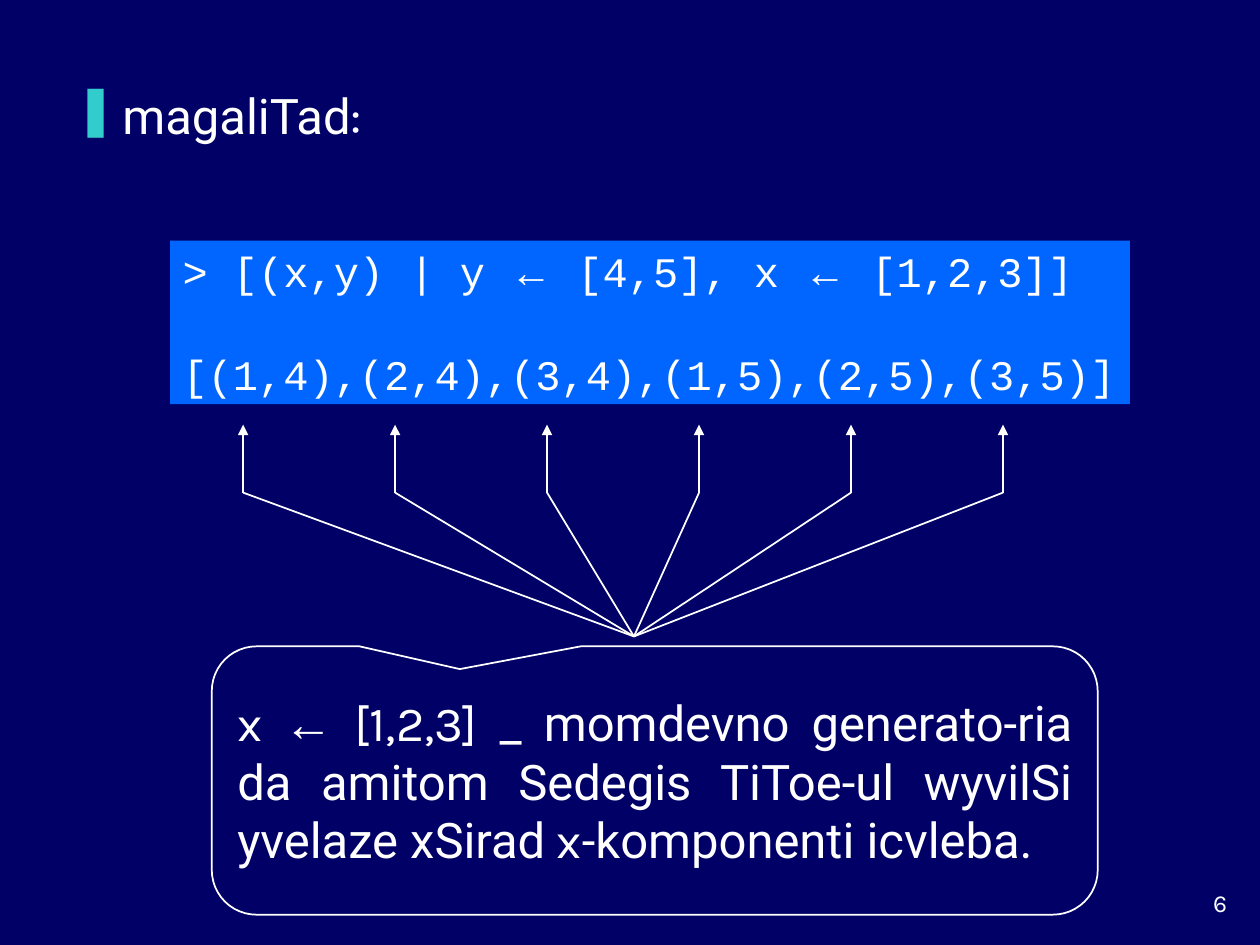
from pptx import Presentation
from pptx.dml.color import RGBColor
from pptx.enum.shapes import MSO_CONNECTOR, MSO_SHAPE
from pptx.enum.text import MSO_ANCHOR, PP_ALIGN
from pptx.oxml.ns import qn
from pptx.util import Cm, Pt
from lxml.etree import SubElement

HUES = {"back": "000066", "code": "0066FF", "mark": "33CCCC", "text": "FFFFFF"}
MONO, SANS, BODY = "Courier New", "Karla", "Roboto"
ARROW = ("←", "Arial")


def hue(name):
    return RGBColor.from_string(HUES[name])


def write(shape, lines, size, align=PP_ALIGN.LEFT, anchor=MSO_ANCHOR.TOP,
          wrap=True, gap=0, bullet=None):
    frame = shape.text_frame
    frame.word_wrap = wrap
    frame.vertical_anchor = anchor
    for i, runs in enumerate(lines):
        para = frame.add_paragraph() if i else frame.paragraphs[0]
        para.alignment = align
        if i:
            para.space_before = Pt(gap)
        if bullet:
            props = para._p.get_or_add_pPr()
            props.set("marL", str(Cm(0.95)))
            props.set("indent", str(-Cm(0.95)))
            color = SubElement(props, qn("a:buClr"))
            SubElement(color, qn("a:srgbClr"), val=HUES["mark"])
            SubElement(props, qn("a:buChar"), char=bullet)
        for text, face in runs:
            run = para.add_run()
            run.text = text
            run.font.name = face
            run.font.size = Pt(size)
            run.font.color.rgb = hue("text")


def label(slide, box, lines, size, **form):
    shape = slide.shapes.add_textbox(*map(Cm, box))
    write(shape, lines, size, **form)


def panel(slide, kind, box):
    shape = slide.shapes.add_shape(kind, *map(Cm, box))
    shape.shadow.inherit = False
    return shape


def code(slide, box):
    shape = panel(slide, MSO_SHAPE.RECTANGLE, box)
    shape.fill.solid()
    shape.fill.fore_color.rgb = hue("code")
    shape.line.fill.background()
    query = [("> [(x,y) | y ", MONO), ARROW, (" [4,5], x ", MONO), ARROW,
             (" [1,2,3]]", MONO)]
    reply = [("[(1,4),(2,4),(3,4),(1,5),(2,5),(3,5)]", MONO)]
    write(shape, [query, reply], 24, anchor=MSO_ANCHOR.MIDDLE, wrap=False, gap=30)


def callout(slide, box):
    shape = panel(slide, MSO_SHAPE.ROUNDED_RECTANGULAR_CALLOUT, box)
    for i, value in enumerate((-0.22, -0.415, 0.167)):
        shape.adjustments[i] = value
    shape.fill.background()
    shape.line.color.rgb = hue("text")
    shape.line.width = Pt(1)
    runs = [("x ", SANS), ARROW, (" [1,2,3]", SANS),
            (" _ momdevno generato-ria da amitom Sedegis TiToe-ul wyvilSi "
             "yvelaze xSirad", BODY),
            (" x", SANS), ("-komponenti icvleba.", BODY)]
    write(shape, [runs], 28, align=PP_ALIGN.JUSTIFY, anchor=MSO_ANCHOR.MIDDLE)


def line(slide, start, end, head=False):
    link = slide.shapes.add_connector(MSO_CONNECTOR.STRAIGHT,
                                      *map(Cm, start + end))
    link.line.color.rgb = hue("text")
    link.line.width = Pt(1)
    if head:
        SubElement(link.line._get_or_add_ln(), qn("a:tailEnd"), type="triangle")
    SubElement(link._element.spPr, qn("a:effectLst"))


def fan(slide, box, count=6):
    left, top, width, height = box
    hub = (left + 7.88, top + height)
    for i in range(count):
        x = left + i * width / (count - 1)
        bend = (x, top + 1.37)
        line(slide, bend, (x, top), head=True)
        line(slide, hub, bend)


def main():
    deck = Presentation()
    deck.slide_width, deck.slide_height = Cm(25.4), Cm(19.05)
    slide = deck.slides.add_slide(deck.slide_layouts[6])
    slide.background.fill.solid()
    slide.background.fill.fore_color.rgb = hue("back")
    label(slide, (23.29, 17.78, 1.7, 0.84), [[("6", SANS)]], 14,
          align=PP_ALIGN.RIGHT)
    code(slide, (3.43, 4.85, 19.35, 3.3))
    label(slide, (1.27, 1.6, 7.9, 1.65), [[("magaliTad", BODY), (":", SANS)]],
          28, bullet="❚")
    callout(slide, (4.27, 13.03, 17.86, 5.41))
    fan(slide, (4.9, 8.56, 15.32, 4.27))
    deck.save("out.pptx")


if __name__ == "__main__":
    main()
